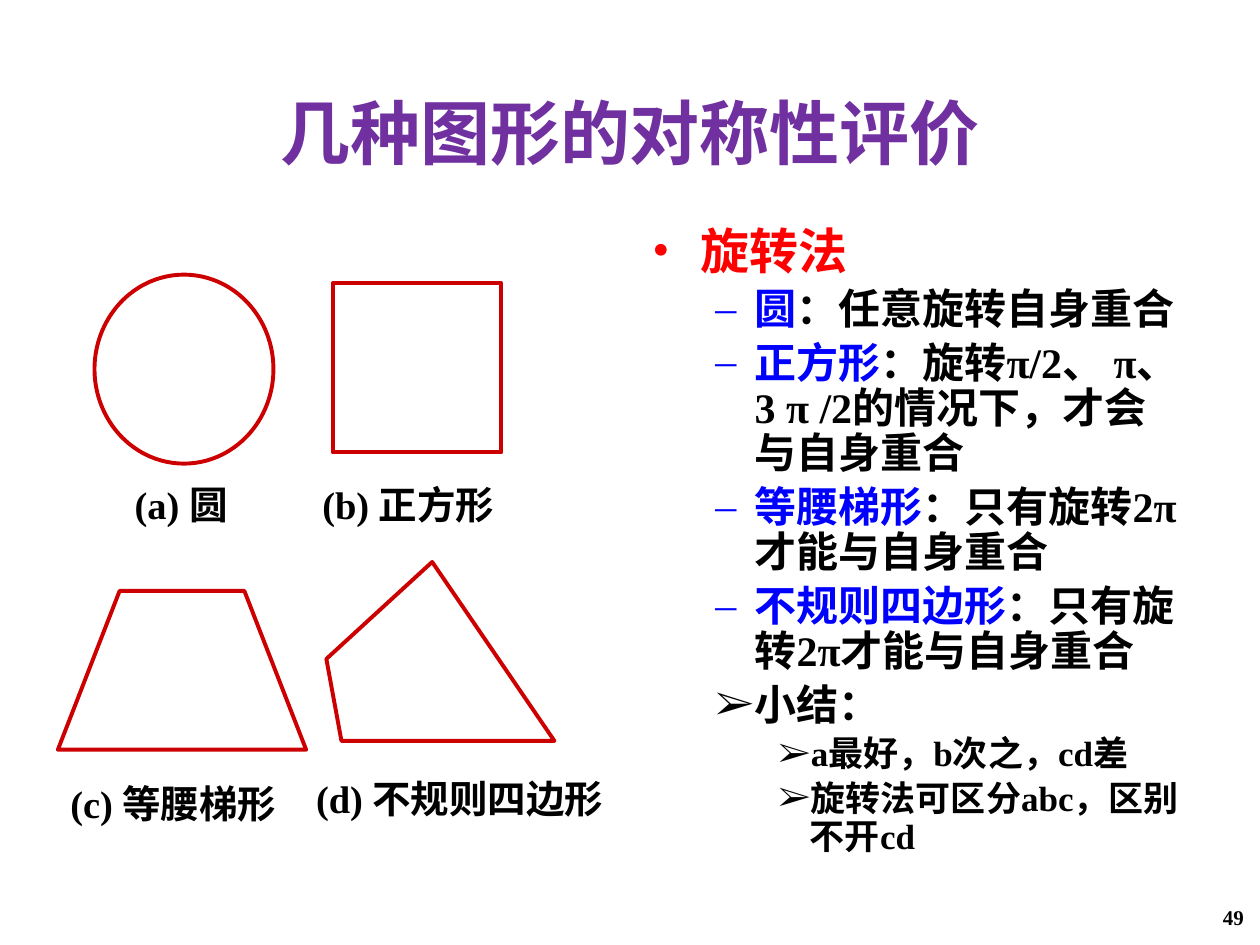
from dataclasses import dataclass

from lxml import etree
from pptx import Presentation
from pptx import util as u
from pptx.dml.color import RGBColor
from pptx.enum import shapes, text
from pptx.oxml.ns import qn

FACE = "Times New Roman"
COLOURS = {
    "title": "7030A0",
    "method": "FF0000",
    "figure": "0000FF",
    "text": "000000",
    "outline": "CC0000",
}


@dataclass(frozen=True)
class Box:
    left: float
    top: float
    width: float
    height: float

    def lengths(self) -> tuple:
        return tuple(u.Inches(v) for v in (self.left, self.top, self.width, self.height))


@dataclass(frozen=True)
class Level:
    margin: float
    hanging: float
    size: int


@dataclass(frozen=True)
class Point:
    level: int
    bullet: str
    runs: tuple  # (wording, colour name) pairs


@dataclass(frozen=True)
class Caption:
    wording: str
    box: Box


LEVELS = (Level(0.38, 0.38, 28), Level(0.81, 0.31, 24), Level(1.25, 0.25, 20))


def figure_point(figure: str, finding: str) -> Point:
    return Point(1, "–", ((figure, "figure"), (finding, "text")))


POINTS = (
    Point(0, "•", (("旋转法", "method"),)),
    figure_point("圆", "：任意旋转自身重合"),
    figure_point("正方形", "：旋转π/2、 π、 3 π /2的情况下，才会与自身重合"),
    figure_point("等腰梯形", "：只有旋转2π才能与自身重合"),
    figure_point("不规则四边形", "：只有旋转2π才能与自身重合"),
    Point(1, "➢", (("小结：", "text"),)),
    Point(2, "➢", (("a最好，b次之，cd差", "text"),)),
    Point(2, "➢", (("旋转法可区分abc，区别不开cd", "text"),)),
)

PRESETS = (
    (shapes.MSO_SHAPE.OVAL, Box(0.75, 2.18, 1.42, 1.5)),
    (shapes.MSO_SHAPE.RECTANGLE, Box(2.64, 2.25, 1.34, 1.34)),
)
POLYGONS = (
    ((0.46, 5.95), (0.95, 4.69), (1.94, 4.69), (2.43, 5.95)),  # trapezoid
    ((3.43, 4.46), (4.4, 5.88), (2.71, 5.88), (2.59, 5.23)),  # irregular
)
CAPTIONS = (
    Caption("(a) 圆", Box(0.97, 3.77, 0.95, 0.47)),
    Caption("(b) 正方形", Box(2.46, 3.77, 1.58, 0.47)),
    Caption("(c) 等腰梯形", Box(0.46, 6.14, 1.93, 0.47)),
    Caption("(d) 不规则四边形", Box(2.41, 6.1, 2.59, 0.47)),
)


def rgb(name: str) -> RGBColor:
    return RGBColor.from_string(COLOURS[name])


def write_runs(paragraph, runs: tuple, size: int) -> None:
    """Add coloured runs; the shared font also goes on the paragraph."""
    for wording, colour in runs:
        run = paragraph.add_run()
        run.text = wording
        run.font.color.rgb = rgb(colour)
    for font in (paragraph.font, *(run.font for run in paragraph.runs)):
        font.name, font.size, font.bold = FACE, u.Pt(size), True


def add_frame(slide, box: Box, anchor=text.MSO_ANCHOR.TOP):
    frame = slide.shapes.add_textbox(*box.lengths()).text_frame
    frame.word_wrap = True
    frame.vertical_anchor = anchor
    return frame


def add_line_of_text(slide, box: Box, wording: str, size: int, colour: str = "text",
                     align=text.PP_ALIGN.LEFT, anchor=text.MSO_ANCHOR.TOP) -> None:
    paragraph = add_frame(slide, box, anchor).paragraphs[0]
    paragraph.alignment = align
    write_runs(paragraph, ((wording, colour),), size)


def write_point(paragraph, point: Point) -> None:
    level = LEVELS[point.level]
    paragraph.level = point.level
    paragraph.line_spacing = 0.9
    paragraph.space_before = u.Pt(0.2 * level.size)
    properties = paragraph._p.get_or_add_pPr()
    properties.set("marL", str(u.Inches(level.margin)))
    properties.set("indent", str(-u.Inches(level.hanging)))
    bullet_colour = etree.SubElement(properties, qn("a:buClr"))
    etree.SubElement(bullet_colour, qn("a:srgbClr"), val=COLOURS[point.runs[0][1]])
    etree.SubElement(properties, qn("a:buFont"), typeface=FACE)
    etree.SubElement(properties, qn("a:buChar"), char=point.bullet)
    write_runs(paragraph, point.runs, level.size)


def outline(figure) -> None:
    figure.shadow.inherit = False
    figure.fill.background()
    figure.line.color.rgb = rgb("outline")
    figure.line.width = u.Pt(2.25)


def add_polygon(slide, corners: tuple) -> None:
    start, *others = [(u.Inches(x), u.Inches(y)) for x, y in corners]
    builder = slide.shapes.build_freeform(*start)
    builder.add_line_segments(others, close=True)
    outline(builder.convert_to_shape())


def main() -> None:
    deck = Presentation()
    deck.slide_width, deck.slide_height = u.Inches(10), u.Inches(7.5)
    slide = deck.slides.add_slide(deck.slide_layouts[6])

    # Slide number and title
    add_line_of_text(slide, Box(7.64, 7.08, 2.33, 0.4), "49", 12,
                     align=text.PP_ALIGN.RIGHT, anchor=text.MSO_ANCHOR.MIDDLE)
    add_line_of_text(slide, Box(0.33, 0.42, 9.34, 1.25), "几种图形的对称性评价", 40, "title",
                     text.PP_ALIGN.CENTER, text.MSO_ANCHOR.MIDDLE)

    # Findings of the rotation method
    findings = add_frame(slide, Box(5.08, 1.75, 4.42, 5.31))
    for index, point in enumerate(POINTS):
        write_point(findings.add_paragraph() if index else findings.paragraphs[0], point)

    # Four figures with their captions
    for preset, box in PRESETS:
        outline(slide.shapes.add_shape(preset, *box.lengths()))
    for corners in POLYGONS:
        add_polygon(slide, corners)
    for caption in CAPTIONS:
        add_line_of_text(slide, caption.box, caption.wording, 22)

    deck.save("out.pptx")


if __name__ == "__main__":
    main()
